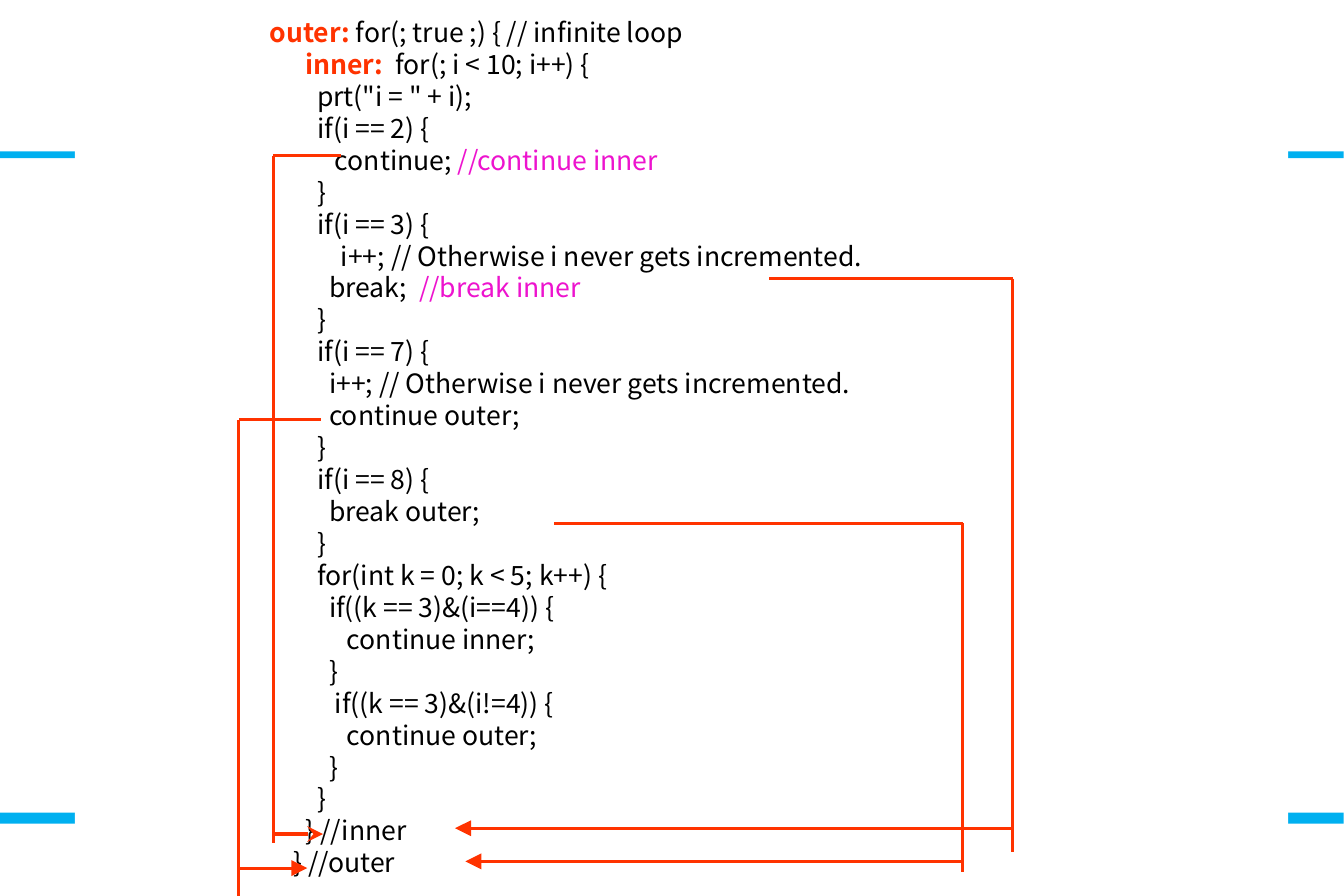
from lxml import etree
from pptx import Presentation
from pptx.dml.color import RGBColor
from pptx.enum.shapes import MSO_CONNECTOR, MSO_SHAPE
from pptx.enum.text import PP_ALIGN
from pptx.oxml.ns import qn
from pptx.util import Cm, Pt

RECT = MSO_SHAPE.RECTANGLE
STRAIGHT = MSO_CONNECTOR.STRAIGHT
JUSTIFY = PP_ALIGN.JUSTIFY

FONT = "Noto Sans CJK SC"
BLACK, WHITE, BLUE = "000000", "FFFFFF", "00B0F0"
RED, MAGENTA = "FF3300", "ED13CE"
SLIDE_SIZE = Pt(850.5), Pt(567)
WIDTH, HEIGHT = 30, 20

ACCENTS = {
    "outer:": RED,
    "inner:": RED,
    "//continue inner": MAGENTA,
    "//break inner": MAGENTA,
}

CODE = """outer: for(; true ;) { // infinite loop
      inner:  for(; i < 10; i++) {
        prt("i = " + i);
        if(i == 2) {
           continue; //continue inner
        }
        if(i == 3) {
            i++; // Otherwise i never gets incremented.
          break;  //break inner
        }
        if(i == 7) {
          i++; // Otherwise i never gets incremented.
          continue outer;
        }
        if(i == 8) {
          break outer;
        }
        for(int k = 0; k < 5; k++) {
          if((k == 3)&(i==4)) {
             continue inner;
          }
           if((k == 3)&(i!=4)) {
             continue outer;
          }
        }
      } //inner
    } //outer"""


def rgb(value):
    """Return the colour for a hex string."""
    return RGBColor.from_string(value)


def add_bar(shapes, left, top, width, height, fill):
    """Add a plain filled rectangle, measured in centimetres."""
    sp = shapes.add_shape(RECT, Cm(left), Cm(top), Cm(width), Cm(height))
    sp.shadow.inherit = False
    sp.fill.solid()
    sp.fill.fore_color.rgb = rgb(fill)
    sp.line.fill.background()


def split_accent(line):
    """Split a code line into text and colour pairs around its accent."""
    for accent, color in ACCENTS.items():
        if accent in line:
            before, word, after = line.partition(accent)
            return [(before, BLACK), (word, color), (after, BLACK)]
    return [(line, BLACK)]


def add_code(shapes, left, top, width, height):
    """Add the code listing on a white panel, one paragraph per line."""
    sp = shapes.add_textbox(Cm(left), Cm(top), Cm(width), Cm(height))
    sp.fill.solid()
    sp.fill.fore_color.rgb = rgb(WHITE)
    tf = sp.text_frame
    tf.word_wrap = True
    for i, line in enumerate(CODE.split("\n")):
        p = tf.add_paragraph() if i else tf.paragraphs[0]
        p.alignment = JUSTIFY
        p.line_spacing = Pt(20.2)
        p.font.name = FONT
        p.font.size = Pt(16.8)
        for text, color in split_accent(line):
            if text:
                r = p.add_run()
                r.text = text
                r.font.color.rgb = rgb(color)
                r.font.bold = color == RED


def add_line(shapes, x1, y1, x2, y2, head=None):
    """Add a red line, with a large arrowhead at its end if one is named."""
    cxn = shapes.add_connector(STRAIGHT, Cm(x1), Cm(y1), Cm(x2), Cm(y2))
    cxn.line.color.rgb = rgb(RED)
    cxn.line.width = Pt(2)
    if head:
        ln = cxn.line._get_or_add_ln()
        etree.SubElement(ln, qn("a:tailEnd"), type=head, w="lg", len="lg")
    etree.SubElement(cxn._element.spPr, qn("a:effectLst"))


def add_jump(shapes, x, y, spine, bottom, tip_x, tip_y, head="triangle"):
    """Add a grouped jump: out to a spine, down it, and back to the tip."""
    group = shapes.add_group_shape().shapes
    add_line(group, x, y, spine, y)
    add_line(group, spine, y, spine, bottom)
    add_line(group, spine, tip_y, tip_x, tip_y, head)


def main():
    """Build the slide on labelled continue and break."""
    prs = Presentation()
    prs.slide_width, prs.slide_height = SLIDE_SIZE
    shapes = prs.slides.add_slide(prs.slide_layouts[6]).shapes

    add_bar(shapes, 0, 18.14, WIDTH, 0.25, BLUE)
    add_bar(shapes, 0, 3.38, WIDTH, 0.15, BLUE)
    add_bar(shapes, 1.67, 0, 26.67, HEIGHT, WHITE)
    add_code(shapes, 5.77, 0.23, 22.99, HEIGHT)

    add_jump(shapes, 7.62, 3.48, 6.1, 18.82, 7.21, 18.62, "stealth")
    add_jump(shapes, 17.17, 6.22, 22.61, 19.02, 10.16, 18.49)
    add_jump(shapes, 7.16, 9.37, 5.33, HEIGHT, 6.86, 19.38)
    add_jump(shapes, 12.37, 11.68, 21.49, 19.46, 10.39, 19.23)

    prs.save("out.pptx")


if __name__ == "__main__":
    main()
